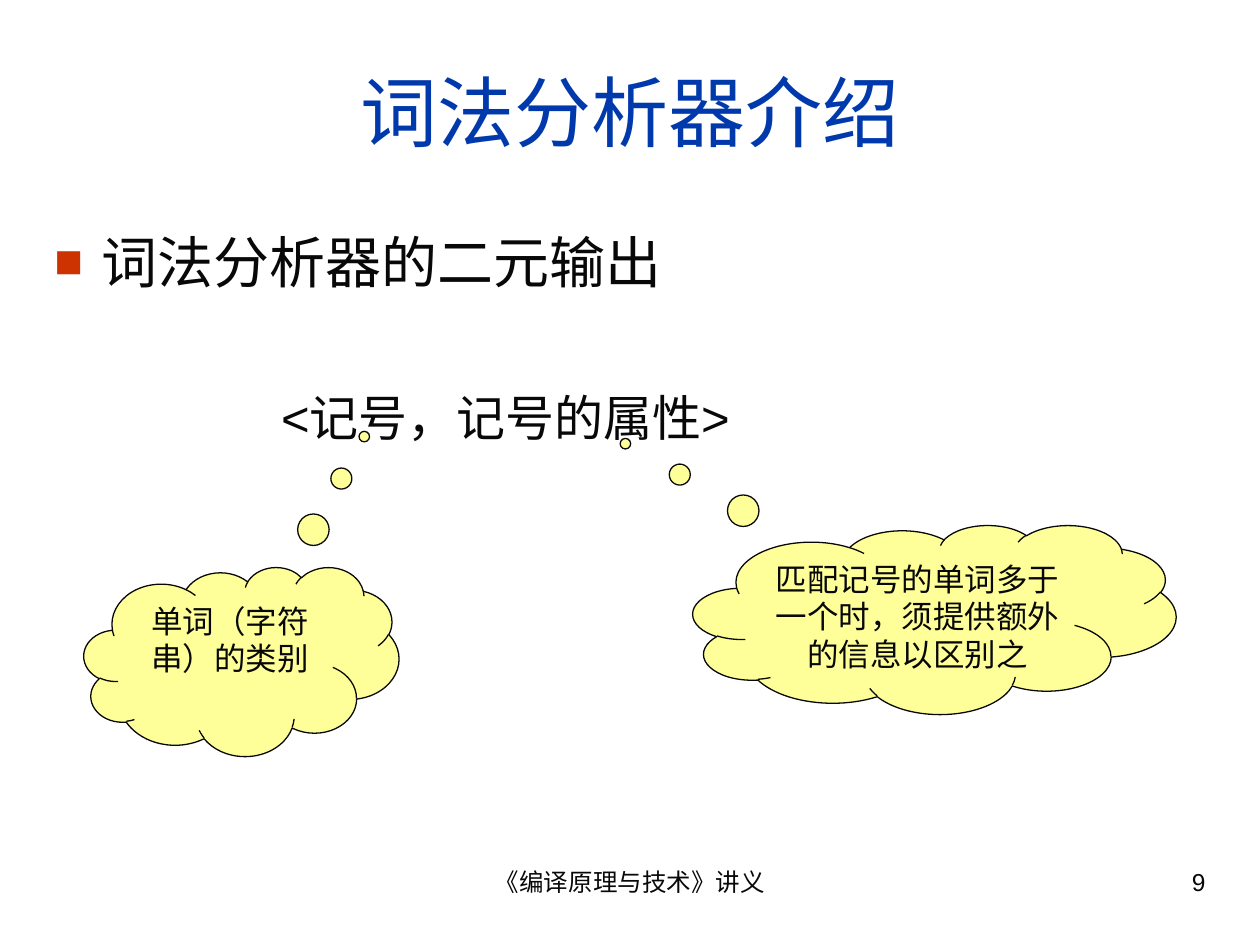
from lxml.etree import SubElement
from pptx import Presentation
from pptx.dml.color import RGBColor
from pptx.enum.shapes import MSO_SHAPE
from pptx.enum.text import MSO_ANCHOR, PP_ALIGN
from pptx.oxml.ns import qn
from pptx.util import Pt

THEME = {
    "font": "Arial",
    "ink": "080808", "title": "0039AC", "bullet": "CC3300", "cloud": "FFFF99",
    "title_size": 44, "heading_size": 32, "formula_size": 28,
    "cloud_size": 18, "footer_size": 14,
}

# Each box is left, top, width, height in points.
TEXTS = [
    ("词法分析器介绍", (24, 18, 672, 90),
     {"size": "title_size", "color": "title", "align": PP_ALIGN.CENTER}),
    ("词法分析器的二元输出", (24, 126, 672, 46),
     {"size": "heading_size", "bullet": "■"}),
    ("<记号，记号的属性>", (153.5, 216, 400, 44), {"size": "formula_size"}),
    ("《编译原理与技术》讲义", (246, 492, 228, 37.5),
     {"size": "footer_size", "align": PP_ALIGN.CENTER, "anchor": MSO_ANCHOR.TOP}),
    ("9", (516, 492, 180, 37.5),
     {"size": "footer_size", "align": PP_ALIGN.RIGHT, "anchor": MSO_ANCHOR.TOP}),
]

# The tail is measured from the cloud's centre, as a share of its size.
CLOUDS = [
    ("单词（字符串）的类别", (48, 324, 180, 108), (0.39, -1.19)),
    ("匹配记号的单词多于一个时，须提供额外的信息以区别之",
     (396, 300, 276, 108), (-0.64, -0.93)),
]


def color_of(name):
    return RGBColor.from_string(THEME[name])


def add_bullet(paragraph, character, indent=27):
    """Give the paragraph a coloured bullet with a hanging indent in points."""
    properties = paragraph._p.get_or_add_pPr()
    properties.set("marL", str(Pt(indent)))
    properties.set("indent", str(-Pt(indent)))
    color = SubElement(properties, qn("a:buClr"))
    SubElement(color, qn("a:srgbClr"), val=THEME["bullet"])
    SubElement(properties, qn("a:buSzPct"), val="85000")
    SubElement(properties, qn("a:buFont"), typeface=THEME["font"])
    SubElement(properties, qn("a:buChar"), char=character)


def write_text(shape, text, *, size, color="ink", align=PP_ALIGN.LEFT,
               anchor=MSO_ANCHOR.MIDDLE, bullet=None):
    frame = shape.text_frame
    frame.word_wrap = True
    frame.vertical_anchor = anchor
    paragraph = frame.paragraphs[0]
    paragraph.alignment = align
    if bullet:
        add_bullet(paragraph, bullet)
    run = paragraph.add_run()
    run.text = text
    run.font.name = THEME["font"]
    run.font.size = Pt(THEME[size])
    run.font.color.rgb = color_of(color)


def add_cloud(slide, text, box, tail):
    shape = slide.shapes.add_shape(MSO_SHAPE.CLOUD_CALLOUT, *map(Pt, box))
    shape.shadow.inherit = False
    shape.adjustments[0], shape.adjustments[1] = tail
    shape.fill.solid()
    shape.fill.fore_color.rgb = color_of("cloud")
    shape.line.color.rgb = color_of("ink")
    shape.line.width = Pt(0.75)
    write_text(shape, text, size="cloud_size", align=PP_ALIGN.CENTER,
               anchor=MSO_ANCHOR.TOP)


def main():
    presentation = Presentation()
    presentation.slide_width, presentation.slide_height = Pt(720), Pt(540)
    slide = presentation.slides.add_slide(presentation.slide_layouts[6])
    for text, box, style in TEXTS:
        write_text(slide.shapes.add_textbox(*map(Pt, box)), text, **style)
    for cloud in CLOUDS:
        add_cloud(slide, *cloud)
    presentation.save("out.pptx")


if __name__ == "__main__":
    main()
